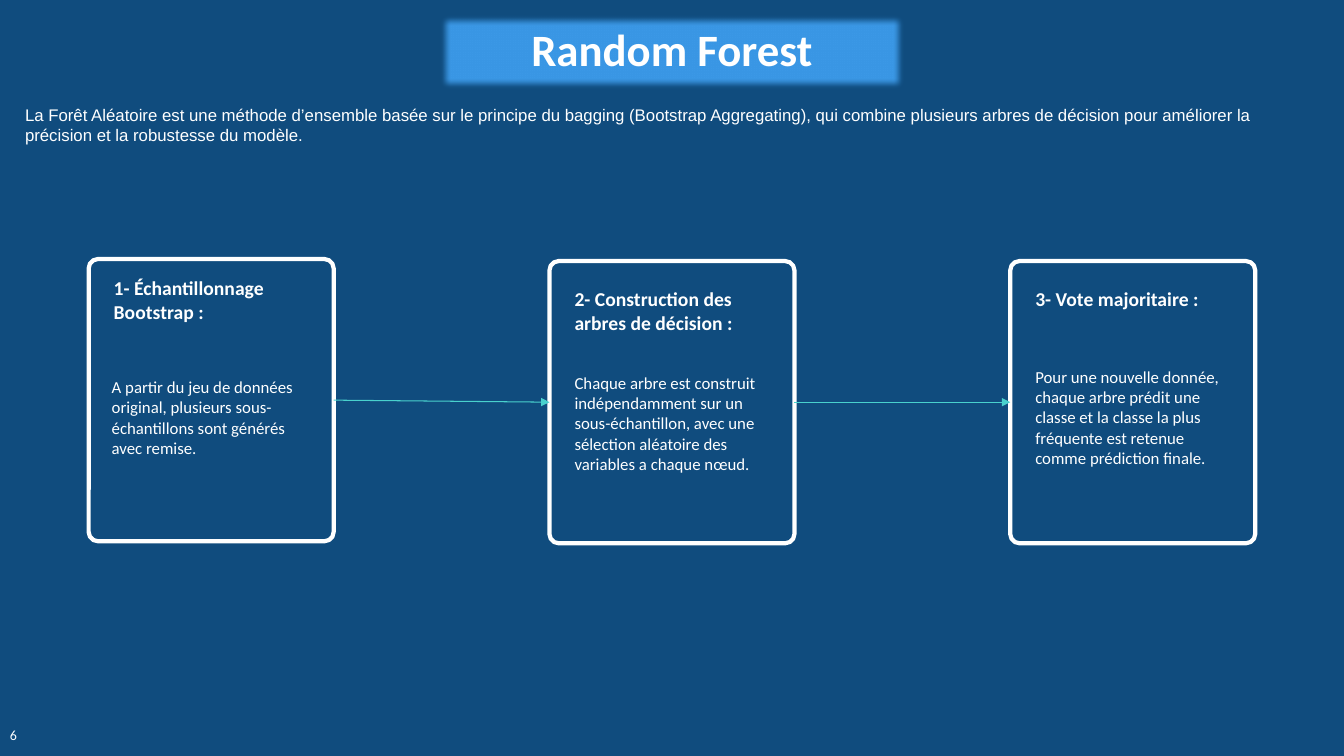
from dataclasses import dataclass

from lxml import etree
from pptx import Presentation
from pptx.dml.color import RGBColor
from pptx.enum.shapes import MSO_CONNECTOR, MSO_SHAPE
from pptx.enum.text import MSO_ANCHOR, MSO_AUTO_SIZE, PP_ALIGN
from pptx.oxml.ns import qn
from pptx.util import Inches, Pt

NAVY = RGBColor(0x10, 0x4C, 0x7E)
BLUE = RGBColor(0x3B, 0x98, 0xE6)
TEAL = RGBColor(0x49, 0xD1, 0xCD)
WHITE = RGBColor(0xFF, 0xFF, 0xFF)
RECT, ROUND_RECT = MSO_SHAPE.RECTANGLE, MSO_SHAPE.ROUNDED_RECTANGLE
STRAIGHT = MSO_CONNECTOR.STRAIGHT
LEFT, CENTER, RIGHT = PP_ALIGN.LEFT, PP_ALIGN.CENTER, PP_ALIGN.RIGHT
TOP, MIDDLE = MSO_ANCHOR.TOP, MSO_ANCHOR.MIDDLE
FIT, NO_FIT = MSO_AUTO_SIZE.SHAPE_TO_FIT_TEXT, MSO_AUTO_SIZE.NONE
LEFT_SIDE, RIGHT_SIDE = 1, 3

CARD_X, CARD_STEP = 0.88, 4.57
CARD_W, CARD_H = 2.43, 2.8
TEXT_W = 2.13


@dataclass
class Step:
    top: float
    heading: str
    heading_box: tuple[float, float, float]
    body: str
    body_box: tuple[float, float, float]


STEPS = [
    Step(2.57, "1- Échantillonnage Bootstrap :", (0.15, 2.69, 0.57),
         "A partir du jeu de données original, plusieurs sous-échantillons "
         "sont générés avec remise.", (0.13, 3.69, 0.91)),
    Step(2.59, "2- Construction des arbres de décision :", (0.15, 2.8, 0.57),
         "Chaque arbre est construit indépendamment sur un sous-échantillon, "
         "avec une sélection aléatoire des variables a chaque nœud.",
         (0.15, 3.65, 1.11)),
    Step(2.59, "3- Vote majoritaire :", (0.15, 2.8, 0.34),
         "Pour une nouvelle donnée, chaque arbre prédit une classe et la classe "
         "la plus fréquente est retenue comme prédiction finale.",
         (0.15, 3.59, 1.11)),
]


def write(s, text: str, *, size=12, font="Calibri", bold=False, align=LEFT,
          anchor=TOP, fit=FIT, spacing=1.0) -> None:
    tf = s.text_frame
    tf.word_wrap = True
    tf.auto_size = fit
    tf.vertical_anchor = anchor
    p = tf.paragraphs[0]
    p.alignment = align
    p.line_spacing = spacing
    r = p.add_run()
    r.text = text
    r.font.size = Pt(size)
    r.font.name = font
    r.font.bold = bold
    r.font.color.rgb = WHITE


def add_text(slide, x: float, y: float, w: float, h: float, text: str, **fmt):
    s = slide.shapes.add_textbox(Inches(x), Inches(y), Inches(w), Inches(h))
    write(s, text, **fmt)
    return s


def add_title(slide, text: str) -> None:
    s = slide.shapes.add_shape(RECT, Inches(4.34), Inches(0.12),
                               Inches(4.65), Inches(0.79))
    s.shadow.inherit = False
    effects = s._element.spPr.find(qn("a:effectLst"))
    etree.SubElement(effects, qn("a:softEdge")).set("rad", str(Pt(5)))
    s.fill.solid()
    s.fill.fore_color.rgb = BLUE
    s.line.fill.background()
    write(s, text, size=32, bold=True, align=CENTER, anchor=MIDDLE,
          fit=NO_FIT, spacing=0.9)


def add_card(slide, x: float, step: Step):
    s = slide.shapes.add_shape(ROUND_RECT, Inches(x), Inches(step.top),
                               Inches(CARD_W), Inches(CARD_H))
    s.adjustments[0] = 0.038
    s.shadow.inherit = False
    s.fill.background()
    s.line.color.rgb = WHITE
    s.line.width = Pt(3)
    dx, y, h = step.heading_box
    add_text(slide, x + dx, y, TEXT_W, h, step.heading, size=14, bold=True)
    dx, y, h = step.body_box
    add_text(slide, x + dx, y, TEXT_W, h, step.body)
    return s


def add_arrow(slide, start, end) -> None:
    c = slide.shapes.add_connector(STRAIGHT, 0, 0, 0, 0)
    c.begin_connect(start, RIGHT_SIDE)
    c.end_connect(end, LEFT_SIDE)
    c.line.color.rgb = TEAL
    c.line.width = Pt(0.75)
    etree.SubElement(c.line._get_or_add_ln(), qn("a:tailEnd")).set("type", "triangle")
    etree.SubElement(c._element.spPr, qn("a:effectLst"))


def main() -> None:
    prs = Presentation()
    prs.slide_width, prs.slide_height = Inches(13.33), Inches(7.5)
    slide = prs.slides.add_slide(prs.slide_layouts[6])
    slide.background.fill.solid()
    slide.background.fill.fore_color.rgb = NAVY

    add_title(slide, "Random Forest")
    add_text(slide, 0, 7.09, 0.24, 0.41, "6", size=10, align=RIGHT,
             anchor=MIDDLE, fit=NO_FIT)
    add_text(slide, 0.15, 0.99, 13.03, 0.5,
             "La Forêt Aléatoire est une méthode d’ensemble basée sur le principe "
             "du bagging (Bootstrap Aggregating), qui combine plusieurs arbres de "
             "décision pour améliorer la précision et la robustesse du modèle.",
             font="Arial")

    cards = [add_card(slide, CARD_X + i * CARD_STEP, step)
             for i, step in enumerate(STEPS)]
    for start, end in zip(cards, cards[1:]):
        add_arrow(slide, start, end)

    prs.save("out.pptx")


if __name__ == "__main__":
    main()
